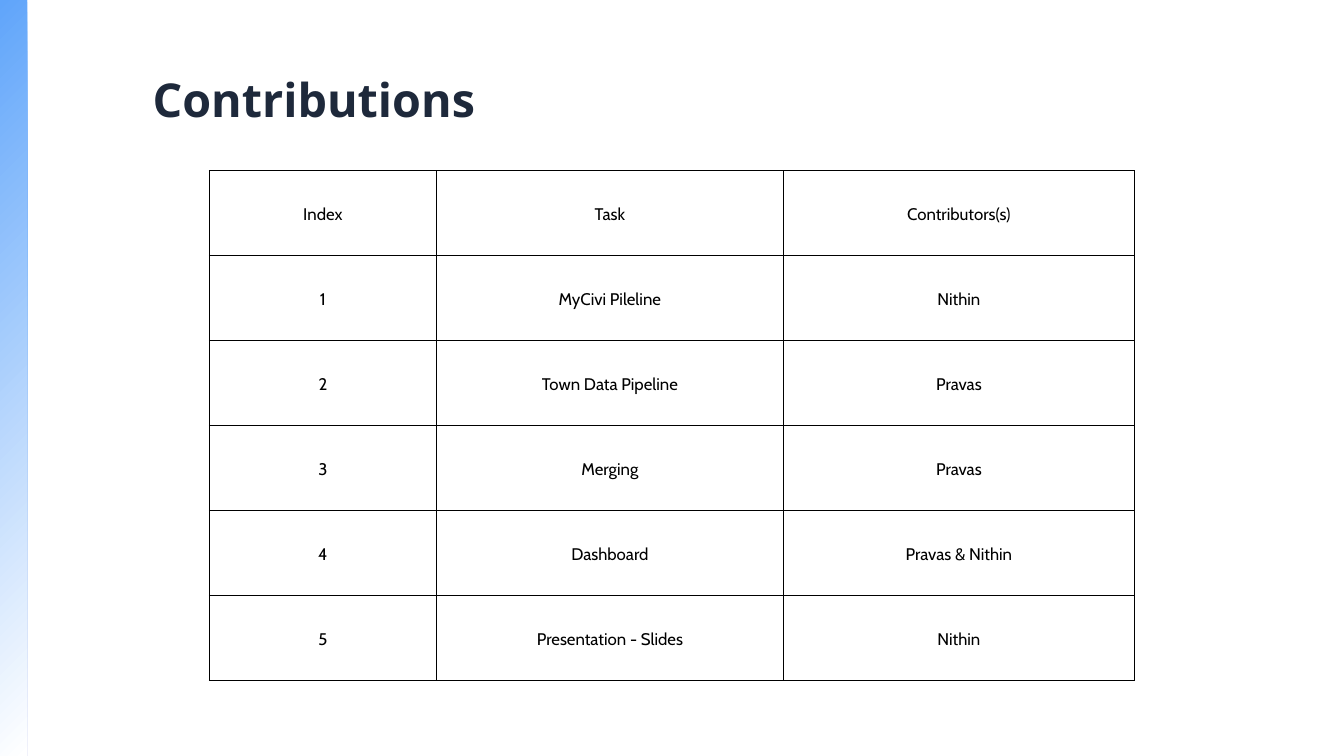
from lxml import etree
from pptx import Presentation
from pptx.dml.color import RGBColor
from pptx.enum.shapes import MSO_SHAPE
from pptx.enum.text import MSO_ANCHOR, MSO_AUTO_SIZE, PP_ALIGN
from pptx.oxml.ns import qn
from pptx.util import Pt

RECTANGLE = MSO_SHAPE.RECTANGLE
TOP, MIDDLE = MSO_ANCHOR.TOP, MSO_ANCHOR.MIDDLE
LEFT, CENTER = PP_ALIGN.LEFT, PP_ALIGN.CENTER
GROW = MSO_AUTO_SIZE.SHAPE_TO_FIT_TEXT

BLACK = RGBColor(0x00, 0x00, 0x00)
WHITE = RGBColor(0xFF, 0xFF, 0xFF)
BLUE = RGBColor(0x60, 0xA5, 0xFA)
NAVY = RGBColor(0x1E, 0x29, 0x3B)

SLIDE_WIDTH, SLIDE_HEIGHT = 1440, 810
COLUMN_WIDTHS = [244, 371, 376.8]
ROW_HEIGHT = 91.08
ROWS = [
    ("Index", "Task", "Contributors(s)"),
    ("1", "MyCivi Pileline", "Nithin"),
    ("2", "Town Data Pipeline", "Pravas"),
    ("3", "Merging", "Pravas"),
    ("4", "Dashboard", "Pravas & Nithin"),
    ("5", "Presentation - Slides", "Nithin"),
]


class SlideBuilder:
    """Holds the text style and the slide being filled."""

    title_font, title_size, title_leading = "Open Sans", 50, 70
    body_font, body_size, body_leading = "Cabin", 18, 25.2
    cell_margin, border_width = 3.6, 0.75

    def __init__(self, slide):
        self.slide = slide

    def add_text(self, frame, text, font, size, leading, color, align, bold=False):
        para = frame.paragraphs[0]
        para.alignment = align
        para.line_spacing = Pt(leading)
        span = para.add_run()
        span.text = text
        span.font.name = font
        span.font.size = Pt(size)
        span.font.bold = bold
        span.font.color.rgb = color

    def gradient_band(self, left, top, width, height, start, end):
        band = self.slide.shapes.add_shape(
            RECTANGLE, Pt(left), Pt(top), Pt(width), Pt(height))
        band.shadow.inherit = False
        band.line.fill.background()
        band.fill.gradient()
        band.fill.gradient_angle = 315
        for stop, color, position in zip(band.fill.gradient_stops, (start, end), (0, 1)):
            stop.color.rgb = color
            stop.position = position

    def title(self, text, left, top, width, height):
        box = self.slide.shapes.title
        box.left, box.top, box.width, box.height = map(Pt, (left, top, width, height))
        frame = box.text_frame
        frame.margin_left = frame.margin_right = 0
        frame.margin_top = frame.margin_bottom = 0
        frame.word_wrap = True
        frame.auto_size = GROW
        frame.vertical_anchor = TOP
        self.add_text(frame, text, self.title_font, self.title_size,
                      self.title_leading, NAVY, LEFT, bold=True)

    def border(self, cell):
        """Draw a line on all four sides; call before filling the cell."""
        properties = cell._tc.get_or_add_tcPr()
        for side in ("a:lnL", "a:lnR", "a:lnT", "a:lnB"):
            line = etree.SubElement(properties, qn(side), w=str(Pt(self.border_width)))
            fill = etree.SubElement(line, qn("a:solidFill"))
            etree.SubElement(fill, qn("a:srgbClr"), val=str(BLACK))

    def table(self, rows, left, top, widths, row_height):
        table = self.slide.shapes.add_table(
            len(rows), len(widths), Pt(left), Pt(top),
            Pt(sum(widths)), Pt(row_height * len(rows))).table
        table.first_row = table.horz_banding = False
        for column, width in zip(table.columns, widths):
            column.width = Pt(width)
        for row_index, texts in enumerate(rows):
            table.rows[row_index].height = Pt(row_height)
            for column_index, text in enumerate(texts):
                cell = table.cell(row_index, column_index)
                self.border(cell)
                if row_index == 0:
                    cell.fill.background()
                else:
                    cell.fill.solid()
                    cell.fill.fore_color.rgb = WHITE
                cell.margin_left = cell.margin_right = Pt(self.cell_margin)
                cell.margin_top = cell.margin_bottom = Pt(self.cell_margin)
                cell.vertical_anchor = MIDDLE
                self.add_text(cell.text_frame, text, self.body_font, self.body_size,
                              self.body_leading, BLACK, CENTER)


def main():
    deck = Presentation()
    deck.slide_width, deck.slide_height = Pt(SLIDE_WIDTH), Pt(SLIDE_HEIGHT)
    title_only = deck.slide_layouts[5]
    page = SlideBuilder(deck.slides.add_slide(title_only))
    page.gradient_band(0, 0, 29, SLIDE_HEIGHT, BLUE, WHITE)
    page.table(ROWS, 224, 182.8, COLUMN_WIDTHS, ROW_HEIGHT)
    page.title("Contributions", 163.5, 65.5, 749.5, 67.7)
    deck.save("out.pptx")


if __name__ == "__main__":
    main()
